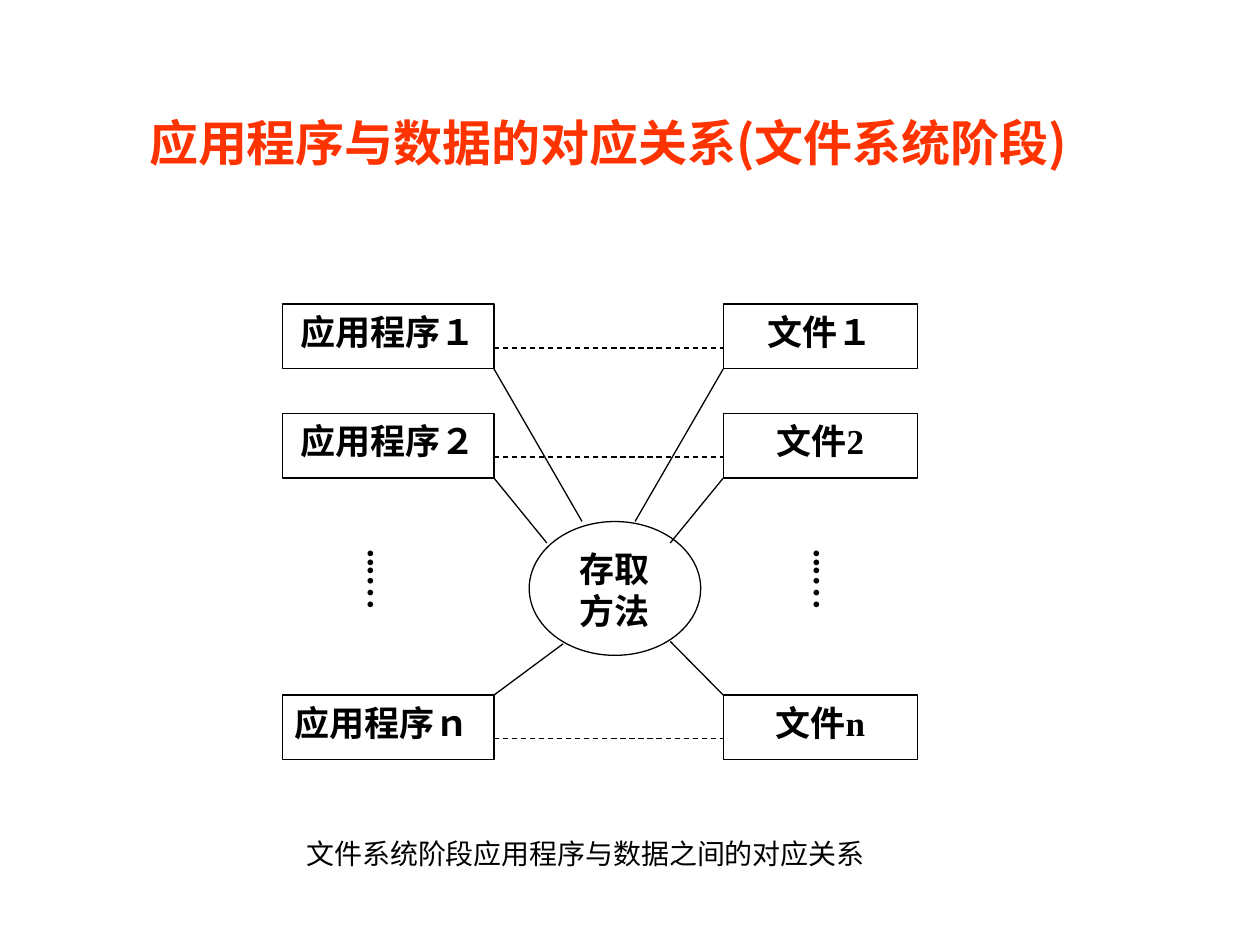
from lxml import etree
from pptx import Presentation
from pptx import util as u
from pptx.dml.color import RGBColor
from pptx.enum import dml, shapes, text
from pptx.oxml import ns

BLACK = RGBColor(0x00, 0x00, 0x00)
WHITE = RGBColor(0xFF, 0xFF, 0xFF)
TITLE_RED = RGBColor(0xFF, 0x33, 0x00)
LATIN, HAN = "Times New Roman", "Noto Sans CJK SC"

# Columns and rows of the diagram, in points
PROGRAM_LEFT, PROGRAM_WIDTH = 161.3, 121
FILE_LEFT, FILE_WIDTH = 413.3, 111
PROGRAM_RIGHT = PROGRAM_LEFT + PROGRAM_WIDTH
BOX_HEIGHT = 37
LINK_DROP = 25  # from the top of a row to its dashed link
ROWS = [
    (173.8, "应用程序１", "文件１", text.PP_ALIGN.CENTER),
    (236.2, "应用程序２", "文件2", text.PP_ALIGN.CENTER),
    (397.2, "应用程序ｎ", "文件n", text.PP_ALIGN.JUSTIFY),
]


def write(shape, content, size, bold=True, color=BLACK, latin=LATIN,
          align=text.PP_ALIGN.CENTER, anchor=text.MSO_ANCHOR.TOP, wrap=True):
    frame = shape.text_frame
    frame.word_wrap = wrap
    frame.auto_size = text.MSO_AUTO_SIZE.NONE
    frame.vertical_anchor = anchor
    paragraph = frame.paragraphs[0]
    paragraph.alignment = align
    run = paragraph.add_run()
    run.text = content
    run.font.size = u.Pt(size)
    run.font.bold = bold
    run.font.color.rgb = color
    run.font.name = latin
    properties = run.font._element
    etree.SubElement(properties, ns.qn("a:ea")).set("typeface", HAN)


def add_node(slide, kind, left, top, width, height, content,
             align=text.PP_ALIGN.CENTER):
    shape = slide.shapes.add_shape(
        kind, u.Pt(left), u.Pt(top), u.Pt(width), u.Pt(height))
    shape.shadow.inherit = False
    shape.fill.solid()
    shape.fill.fore_color.rgb = WHITE
    shape.line.color.rgb = BLACK
    shape.line.width = u.Pt(0.75)
    write(shape, content, 20, align=align)


def add_line(slide, start, end, dashed=False):
    line = slide.shapes.add_connector(
        shapes.MSO_CONNECTOR.STRAIGHT, *(u.Pt(value) for value in start + end))
    line.line.color.rgb = BLACK
    line.line.width = u.Pt(0.75)
    if dashed:
        line.line.dash_style = dml.MSO_LINE.DASH
    etree.SubElement(line._element.spPr, ns.qn("a:effectLst"))


def add_text(slide, left, top, width, height, content, size, **style):
    box = slide.shapes.add_textbox(
        u.Pt(left), u.Pt(top), u.Pt(width), u.Pt(height))
    write(box, content, size, **style)
    return box


def add_vertical_dots(slide, left, height):
    box = add_text(slide, left, 306.7, 38.2, height, "...…", 20,
                   align=text.PP_ALIGN.LEFT)
    frame = box.text_frame
    frame.margin_left = frame.margin_right = u.Pt(3.6)
    frame.margin_top = frame.margin_bottom = u.Pt(7.2)
    frame._txBody.bodyPr.set("vert", "eaVert")


def add_title(slide, content):
    title = slide.shapes.title
    title.left, title.top = u.Pt(78), u.Pt(36)
    title.width, title.height = u.Pt(624), u.Pt(90)
    write(title, content, 28, color=TITLE_RED, latin=HAN,
          align=text.PP_ALIGN.LEFT, anchor=text.MSO_ANCHOR.MIDDLE)


def main():
    presentation = Presentation()
    presentation.slide_width, presentation.slide_height = u.Pt(720), u.Pt(540)
    slide = presentation.slides.add_slide(presentation.slide_layouts[5])
    add_title(slide, "应用程序与数据的对应关系(文件系统阶段)")

    # Programs, files and the dashed links between them
    rectangle = shapes.MSO_SHAPE.RECTANGLE
    for top, program, file, align in ROWS:
        add_node(slide, rectangle, PROGRAM_LEFT, top, PROGRAM_WIDTH,
                 BOX_HEIGHT, program, align)
        add_node(slide, rectangle, FILE_LEFT, top, FILE_WIDTH,
                 BOX_HEIGHT, file)
        add_line(slide, (PROGRAM_RIGHT, top + LINK_DROP),
                 (FILE_LEFT, top + LINK_DROP), dashed=True)

    # Access method and its spokes to the box corners
    add_node(slide, shapes.MSO_SHAPE.OVAL, 302.4, 298, 98, 76.5, "存取方法")
    first, second, last = (row[0] for row in ROWS)
    spokes = [
        (first + BOX_HEIGHT, (332.6, 298), (362.9, 298)),
        (second + BOX_HEIGHT, (312.5, 310.3), (383, 310.3)),
        (last, (321.8, 367.9), (383, 366.5)),
    ]
    for corner, program_end, file_end in spokes:
        add_line(slide, (PROGRAM_RIGHT, corner), program_end)
        add_line(slide, (FILE_LEFT, corner), file_end)

    # Omitted rows
    add_vertical_dots(slide, 195.8, 65.5)
    add_vertical_dots(slide, 450.7, 71.3)

    # Caption
    add_text(slide, 139, 474.5, 391.5, 29, "文件系统阶段应用程序与数据之间的对应关系",
             16, bold=False, wrap=False)

    presentation.save("out.pptx")


if __name__ == "__main__":
    main()
